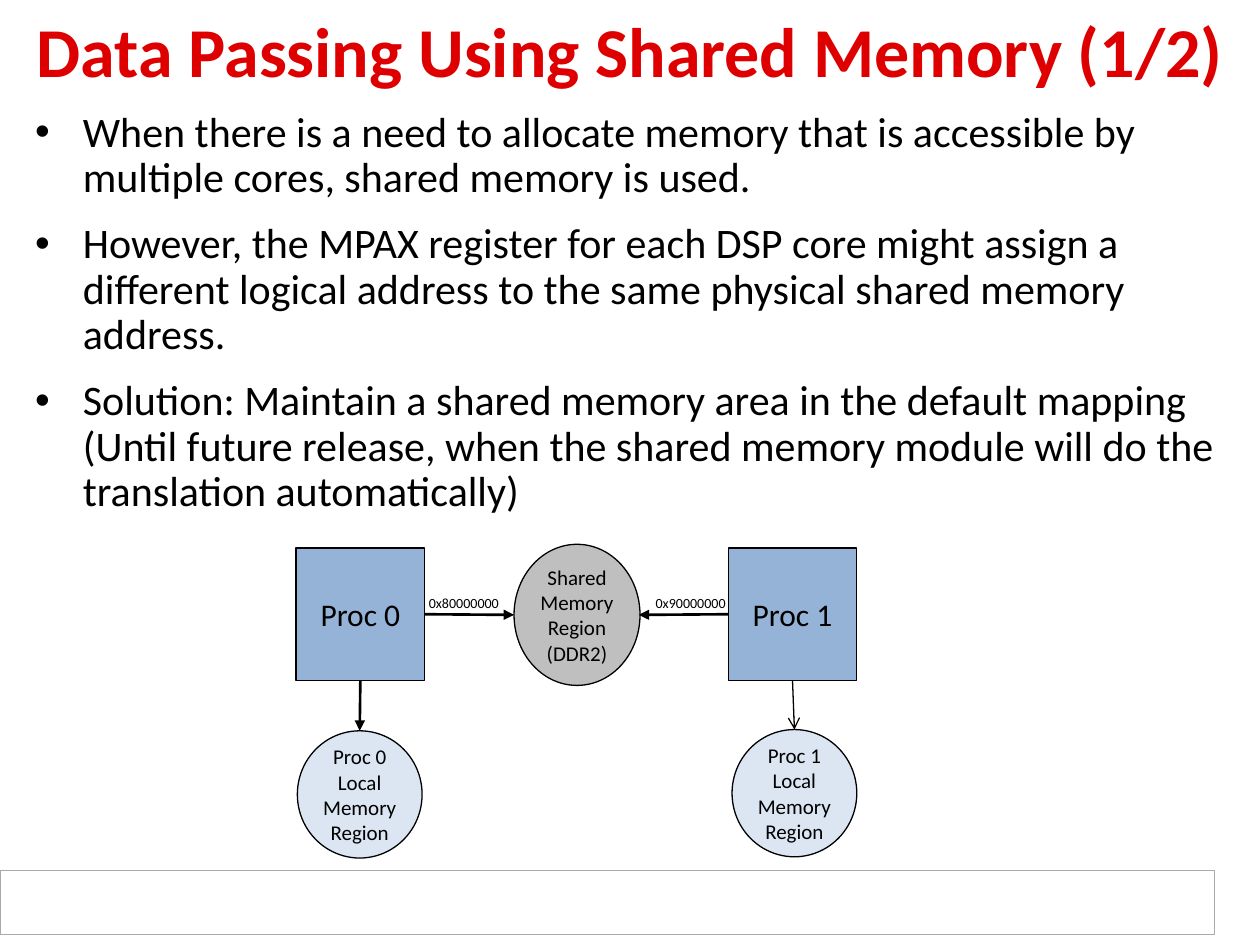
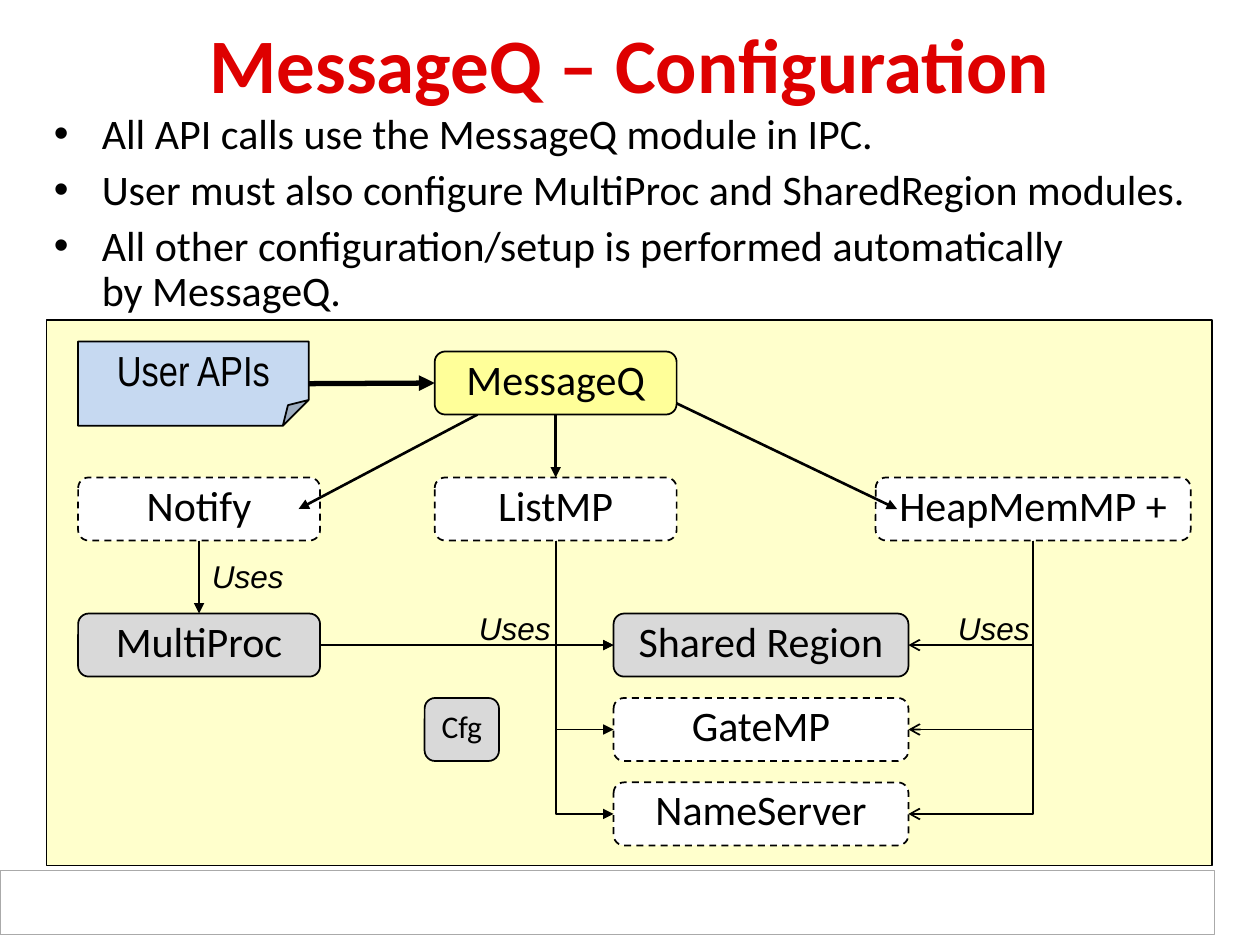
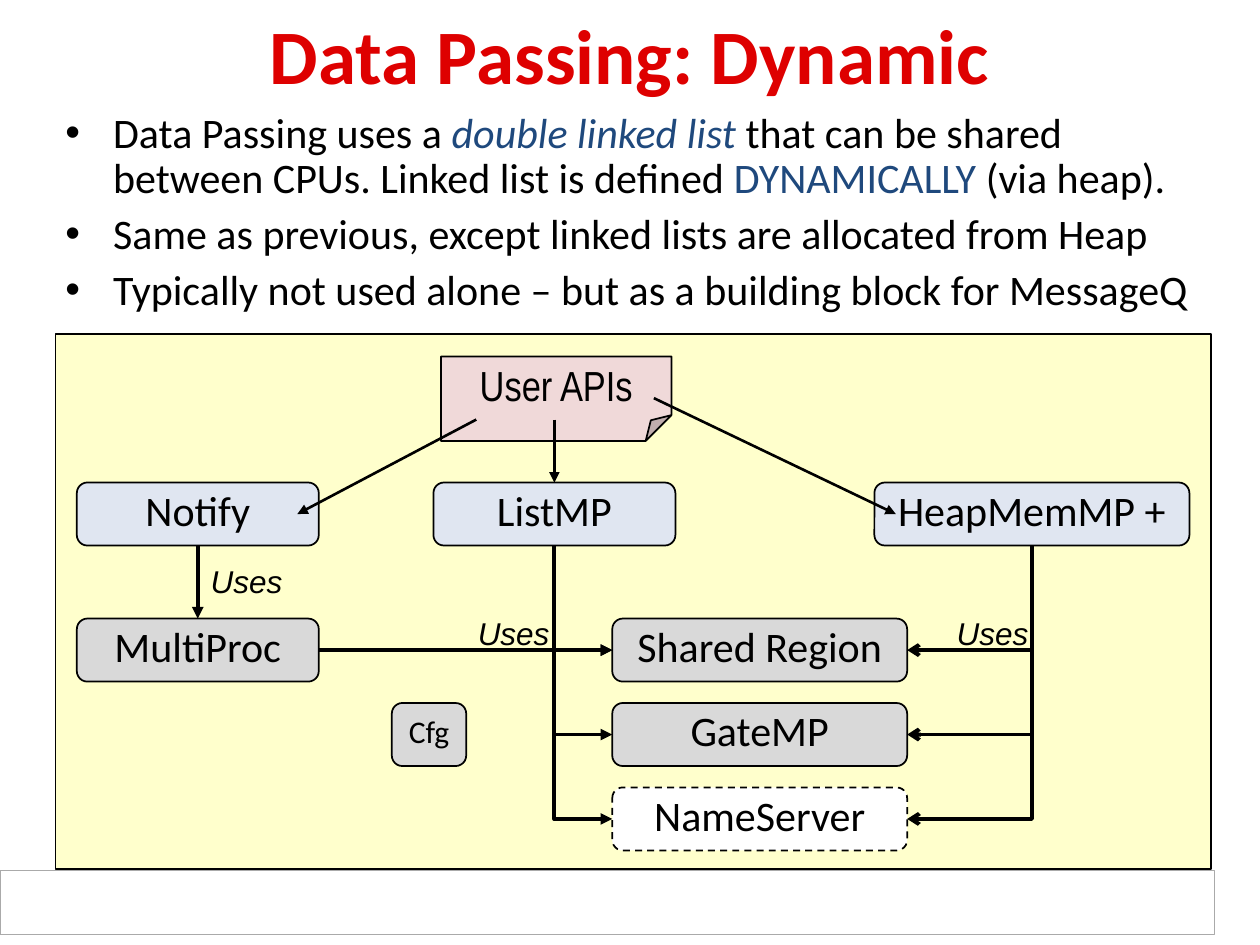
from dataclasses import dataclass
from typing import Any, NamedTuple, Optional

from lxml import etree
from pptx import Presentation
from pptx.dml.color import RGBColor
from pptx.enum.dml import MSO_LINE
from pptx.enum.shapes import MSO_CONNECTOR, MSO_SHAPE
from pptx.enum.text import MSO_ANCHOR, MSO_AUTO_SIZE, PP_ALIGN
from pptx.oxml.ns import qn
from pptx.util import Inches, Pt

RECTANGLE = MSO_SHAPE.RECTANGLE
ROUNDED = MSO_SHAPE.ROUNDED_RECTANGLE
ELLIPSE = MSO_SHAPE.OVAL
FOLDED = MSO_SHAPE.FOLDED_CORNER
STRAIGHT = MSO_CONNECTOR.STRAIGHT
ELBOW = MSO_CONNECTOR.ELBOW
DASH = MSO_LINE.DASH
LEFT, CENTER, RIGHT = PP_ALIGN.LEFT, PP_ALIGN.CENTER, PP_ALIGN.RIGHT
TOP, MIDDLE = MSO_ANCHOR.TOP, MSO_ANCHOR.MIDDLE
FIT_TEXT, FIXED_SIZE = MSO_AUTO_SIZE.SHAPE_TO_FIT_TEXT, MSO_AUTO_SIZE.NONE
SIDE_TOP, SIDE_LEFT, SIDE_BOTTOM, SIDE_RIGHT = range(4)


@dataclass(frozen=True)
class Theme:
    ink: str = "000000"
    title: str = "DE0000"
    accent: str = "1F497D"
    white: str = "FFFFFF"
    footer_line: str = "AAAAAA"
    panel: str = "FFFFCC"
    configured: str = "D9D9D9"
    module: str = "E0E6F1"
    message: str = "FFFF99"
    blue_note: str = "C6D9F1"
    pink_note: str = "F0D9D9"
    processor: str = "95B3D7"
    local_memory: str = "DCE6F2"
    shared_memory: str = "BFBFBF"
    font: str = "Calibri"
    note_font: str = "Arial Narrow"
    label_font: str = "Arial"
    title_size: int = 44
    long_title_size: int = 40
    body_size: int = 24
    label_size: int = 18
    region_size: int = 12
    address_size: int = 8


THEME = Theme()


class Box(NamedTuple):
    left: float
    top: float
    width: float
    height: float

    def lengths(self) -> list:
        return [Inches(value) for value in self]


class Point(NamedTuple):
    x: float
    y: float


class Run(NamedTuple):
    text: str
    color: str = THEME.ink
    italic: bool = False


@dataclass(frozen=True)
class TextStyle:
    size: int = THEME.body_size
    font: str = THEME.font
    bold: bool = False
    italic: bool = False
    color: str = THEME.ink
    align: Any = CENTER
    anchor: Any = MIDDLE
    wrap: bool = True
    grow: bool = False
    line_spacing: Optional[float] = None
    space_before: int = 0
    bullet: bool = False
    margins: tuple = (0.1, 0.05, 0.1, 0.05)


@dataclass(frozen=True)
class ShapeStyle:
    fill: str
    line: str = THEME.ink
    width: float = 1
    dashed: bool = False


MODULE_TEXT = TextStyle(line_spacing=0.8)
CFG_TEXT = TextStyle(size=THEME.label_size, line_spacing=0.8)
NOTE_TEXT = TextStyle(font=THEME.note_font, line_spacing=0.8, anchor=TOP, margins=(0.1, 0.1, 0.1, 0.05))
USES_TEXT = TextStyle(size=THEME.label_size, font=THEME.label_font, italic=True, align=RIGHT, wrap=False, grow=True)
ADDRESS_TEXT = TextStyle(size=THEME.address_size, align=RIGHT, anchor=TOP, wrap=False, grow=True)
PROCESSOR_TEXT = TextStyle(size=THEME.label_size)
REGION_TEXT = TextStyle(size=THEME.region_size, margins=(0.05,) * 4)
INTRO_BULLETS = TextStyle(align=LEFT, anchor=TOP, line_spacing=0.9, space_before=12, bullet=True)
BULLETS = TextStyle(align=LEFT, wrap=False, grow=True, line_spacing=0.9, space_before=6, bullet=True)

CONFIGURED = ShapeStyle(THEME.configured)
AUTOMATIC = ShapeStyle(THEME.white, dashed=True)
MODULE = ShapeStyle(THEME.module)


@dataclass(frozen=True)
class Processor:
    name: str
    left: float
    address: str
    address_left: float
    side: int
    shared_edge: float
    region: Box
    link_width: float
    link_head: str


@dataclass(frozen=True)
class ModuleDiagram:
    panel: Box
    origin: Point
    note: Box
    note_fill: str
    user_style: ShapeStyle
    gate_style: ShapeStyle
    link_width: float
    cfg_left: float


def apply_format(target: Any, values: dict) -> None:
    for name, value in values.items():
        setattr(target, name, value)


def add_bullet(paragraph) -> None:
    properties = paragraph._p.get_or_add_pPr()
    properties.set("marL", str(Inches(0.38)))
    properties.set("indent", str(-Inches(0.38)))
    etree.SubElement(properties, qn("a:buFont")).set("typeface", THEME.label_font)
    etree.SubElement(properties, qn("a:buChar")).set("char", "•")


def write_text(shape, paragraphs: list, style: TextStyle) -> None:
    frame = shape.text_frame
    left, top, right, bottom = (Inches(margin) for margin in style.margins)
    apply_format(frame, {
        "word_wrap": style.wrap,
        "auto_size": FIT_TEXT if style.grow else FIXED_SIZE,
        "vertical_anchor": style.anchor,
        "margin_left": left, "margin_top": top,
        "margin_right": right, "margin_bottom": bottom,
    })
    for index, content in enumerate(paragraphs):
        paragraph = frame.add_paragraph() if index else frame.paragraphs[0]
        if style.bullet:
            add_bullet(paragraph)
        apply_format(paragraph, {
            "alignment": style.align,
            "line_spacing": style.line_spacing,
            "space_before": Pt(style.space_before if index else 0),
        })
        runs = [Run(content, style.color, style.italic)] if isinstance(content, str) else content
        for part in runs:
            for line_index, line in enumerate(part.text.split("\n")):
                if line_index:
                    paragraph.add_line_break()
                run = paragraph.add_run()
                run.text = line
                apply_format(run.font, {
                    "name": style.font, "size": Pt(style.size),
                    "bold": style.bold, "italic": part.italic,
                })
                run.font.color.rgb = RGBColor.from_string(part.color)


def add_text(slide, box: Box, paragraphs: list, style: TextStyle) -> None:
    write_text(slide.shapes.add_textbox(*box.lengths()), paragraphs, style)


def add_box(slide, kind, box: Box, style: ShapeStyle, text: str = "", text_style: TextStyle = MODULE_TEXT):
    shape = slide.shapes.add_shape(kind, *box.lengths())
    shape.shadow.inherit = False
    shape.fill.solid()
    shape.fill.fore_color.rgb = RGBColor.from_string(style.fill)
    shape.line.color.rgb = RGBColor.from_string(style.line)
    shape.line.width = Pt(style.width)
    if style.dashed:
        shape.line.dash_style = DASH
    if text:
        write_text(shape, [text], text_style)
    return shape


def add_note(slide, box: Box, fill: str):
    note = add_box(slide, FOLDED, box, ShapeStyle(fill), "User APIs", NOTE_TEXT)
    geometry = note._element.spPr.find(qn("a:prstGeom"))
    fold = etree.SubElement(geometry.get_or_add_avLst(), qn("a:gd"))
    fold.set("name", "adj")
    fold.set("fmla", "val 30600")
    return note


def style_link(connector, width: float, head: str) -> None:
    connector.line.color.rgb = RGBColor.from_string(THEME.ink)
    connector.line.width = Pt(width)
    line = connector.line._get_or_add_ln()
    etree.SubElement(line, qn("a:tailEnd")).set("type", head)
    etree.SubElement(connector._element.spPr, qn("a:effectLst"))


def add_link(slide, start: Point, end: Point, width: float, head: str = "triangle",
             begin: Optional[tuple] = None, finish: Optional[tuple] = None):
    connector = slide.shapes.add_connector(STRAIGHT, *(Inches(value) for value in (*start, *end)))
    if begin:
        connector.begin_connect(*begin)
    if finish:
        connector.end_connect(*finish)
    style_link(connector, width, head)
    return connector


def add_corner_link(slide, start: Point, end: Point, width: float, head: str) -> None:
    run, drop = end.x - start.x, end.y - start.y
    left = (start.x + end.x - drop) / 2
    top = (start.y + end.y - abs(run)) / 2
    edges = (left + drop, left) if run > 0 else (left, left + drop)
    connector = slide.shapes.add_connector(
        ELBOW, Inches(edges[0]), Inches(top), Inches(edges[1]), Inches(top + abs(run)))
    connector.rotation = 270 if run > 0 else 90
    connector._element.spPr.find(qn("a:prstGeom")).set("prst", "bentConnector2")
    style_link(connector, width, head)


def start_slide(presentation, title: str, title_box: Box, title_size: int,
                bullets: list, bullet_box: Box, bullet_style: TextStyle):
    slide = presentation.slides.add_slide(presentation.slide_layouts[6])
    add_box(slide, RECTANGLE, Box(0, 6.91, 9.64, 0.51), ShapeStyle(THEME.white, THEME.footer_line, 0.75))
    add_text(slide, title_box, [title], TextStyle(size=title_size, bold=True, color=THEME.title, wrap=False))
    add_text(slide, bullet_box, bullets, bullet_style)
    return slide


def draw_processor(slide, processor: Processor) -> None:
    square = Box(processor.left, 4.35, 1.02, 1.05)
    shape = add_box(slide, RECTANGLE, square, ShapeStyle(THEME.processor, width=0.75),
                    processor.name, PROCESSOR_TEXT)
    region = processor.region
    add_box(slide, ELLIPSE, region, ShapeStyle(THEME.local_memory, width=0.75),
            f"{processor.name} Local Memory Region", REGION_TEXT)
    add_link(slide, Point(square.left, 4.88), Point(processor.shared_edge, 4.88), 1.5,
             begin=(shape, processor.side))
    add_link(slide, Point(square.left, 5.4), Point(region.left + region.width / 2, region.top),
             processor.link_width, processor.link_head, begin=(shape, SIDE_BOTTOM))
    add_text(slide, Box(processor.address_left, 4.67, 0.76, 0.24), [processor.address], ADDRESS_TEXT)


def draw_modules(slide, diagram: ModuleDiagram) -> tuple:
    x, y = diagram.origin
    height = 0.5
    rows = [y + 1.08 + 0.67 * index for index in range(3)]
    target_left, target_width = x + 4.25, 2.34

    add_box(slide, RECTANGLE, diagram.panel, ShapeStyle(THEME.panel))
    note = add_note(slide, diagram.note, diagram.note_fill)

    modules = [
        ("Notify", x, y, 1.92, diagram.user_style),
        ("ListMP", x + 2.83, y, 1.92, diagram.user_style),
        ("HeapMemMP +", x + 6.33, y, 2.5, diagram.user_style),
        ("MultiProc", x, rows[0], 1.92, CONFIGURED),
        ("Shared Region", target_left, rows[0], target_width, CONFIGURED),
        ("GateMP", target_left, rows[1], target_width, diagram.gate_style),
        ("NameServer", target_left, rows[2], target_width, AUTOMATIC),
    ]
    shapes = {
        name: add_box(slide, ROUNDED, Box(left, top, width, height), style, name)
        for name, left, top, width, style in modules
    }
    add_box(slide, ROUNDED, Box(diagram.cfg_left, rows[1], 0.59, height), CONFIGURED, "Cfg", CFG_TEXT)

    sources = [(x + 3.79, target_left, "triangle"), (x + 7.58, target_left + target_width, "arrow")]
    for source_x, target_x, head in sources:
        for row in rows:
            add_corner_link(slide, Point(source_x, y + height), Point(target_x, row + height / 2),
                            diagram.link_width, head)

    joined = [("Notify", SIDE_BOTTOM, "MultiProc", SIDE_TOP),
              ("MultiProc", SIDE_RIGHT, "Shared Region", SIDE_LEFT)]
    for source, source_side, target, target_side in joined:
        add_link(slide, diagram.origin, diagram.origin, diagram.link_width,
                 begin=(shapes[source], source_side), finish=(shapes[target], target_side))

    add_link(slide, Point(x + 3.17, y - 0.5), Point(x + 1.75, y + 0.25), 1.5)
    add_link(slide, Point(x + 4.58, y - 0.67), Point(x + 6.5, y + 0.25), 1.5)
    list_link = add_link(slide, Point(x + 3.79, y - 0.5), Point(x + 3.79, y), 1.5,
                         finish=(shapes["ListMP"], SIDE_TOP))

    for left, top in [(0.92, 0.58), (3.04, 0.99), (6.84, 0.99)]:
        add_text(slide, Box(x + left, y + top, 0.81, 0.4), ["Uses"], USES_TEXT)
    return note, list_link


def build_shared_memory(presentation) -> None:
    slide = start_slide(
        presentation, "Data Passing Using Shared Memory (1/2)", Box(0, 0, 10, 0.78), THEME.long_title_size,
        ["When there is a need to allocate memory that is accessible by multiple cores, shared memory is used.",
         "However, the MPAX register for each DSP core might assign a different logical address "
         "to the same physical shared memory address.",
         "Solution: Maintain a shared memory area in the default mapping (Until future release, "
         "when the shared memory module will do the translation automatically)"],
        Box(0.18, 0.83, 9.63, 3.42), INTRO_BULLETS)
    add_box(slide, ELLIPSE, Box(4.08, 4.32, 1, 1.12), ShapeStyle(THEME.shared_memory, width=0.75),
            "Shared Memory Region\n(DDR2)", REGION_TEXT)
    processors = [
        Processor("Proc 0", 2.35, "0x80000000", 3.3, SIDE_RIGHT, 4.08,
                  Box(2.36, 5.8, 0.99, 1.01), 1.5, "triangle"),
        Processor("Proc 1", 5.78, "0x90000000", 5.1, SIDE_LEFT, 5.07,
                  Box(5.81, 5.79, 0.99, 1.01), 0.75, "arrow"),
    ]
    for processor in processors:
        draw_processor(slide, processor)


def build_configuration(presentation) -> None:
    slide = start_slide(
        presentation, "MessageQ – Configuration", Box(0.5, 0.08, 9, 0.83), THEME.title_size,
        ["All API calls use the MessageQ module in IPC.",
         "User must also configure MultiProc and SharedRegion modules.",
         "All other configuration/setup is performed automatically\nby MessageQ."],
        Box(0.33, 0.84, 9.26, 1.72), BULLETS)
    note, list_link = draw_modules(slide, ModuleDiagram(
        Box(0.37, 2.54, 9.25, 4.33), Point(0.62, 3.79), Box(0.62, 2.71, 1.83, 0.67),
        THEME.blue_note, AUTOMATIC, AUTOMATIC, 1, 3.37))
    message = add_box(slide, ROUNDED, Box(3.45, 2.79, 1.92, 0.5), ShapeStyle(THEME.message), "MessageQ")
    list_link.begin_connect(message, SIDE_BOTTOM)
    add_link(slide, Point(2.45, 3.04), Point(3.45, 3.04), 3,
             begin=(note, SIDE_RIGHT), finish=(message, SIDE_LEFT))


def build_dynamic(presentation) -> None:
    slide = start_slide(
        presentation, "Data Passing: Dynamic", Box(0.5, 0.01, 9, 0.83), THEME.title_size,
        [[Run("Data Passing uses a "), Run("double linked list ", THEME.accent, True),
          Run("that can be shared \nbetween CPUs. Linked list is defined "),
          Run("DYNAMICALLY", THEME.accent), Run(" (via heap).")],
         "Same as previous, except linked lists are allocated from Heap",
         "Typically not used alone – but as a building block for MessageQ"],
        Box(0.42, 0.83, 9.19, 1.72), BULLETS)
    draw_modules(slide, ModuleDiagram(
        Box(0.44, 2.65, 9.17, 4.25), Point(0.61, 3.83), Box(3.5, 2.83, 1.83, 0.67),
        THEME.pink_note, MODULE, CONFIGURED, 2.25, 3.11))


def main() -> None:
    presentation = Presentation()
    presentation.slide_width = Inches(10)
    presentation.slide_height = Inches(7.5)
    build_shared_memory(presentation)
    build_configuration(presentation)
    build_dynamic(presentation)
    presentation.save("out.pptx")


if __name__ == "__main__":
    main()
